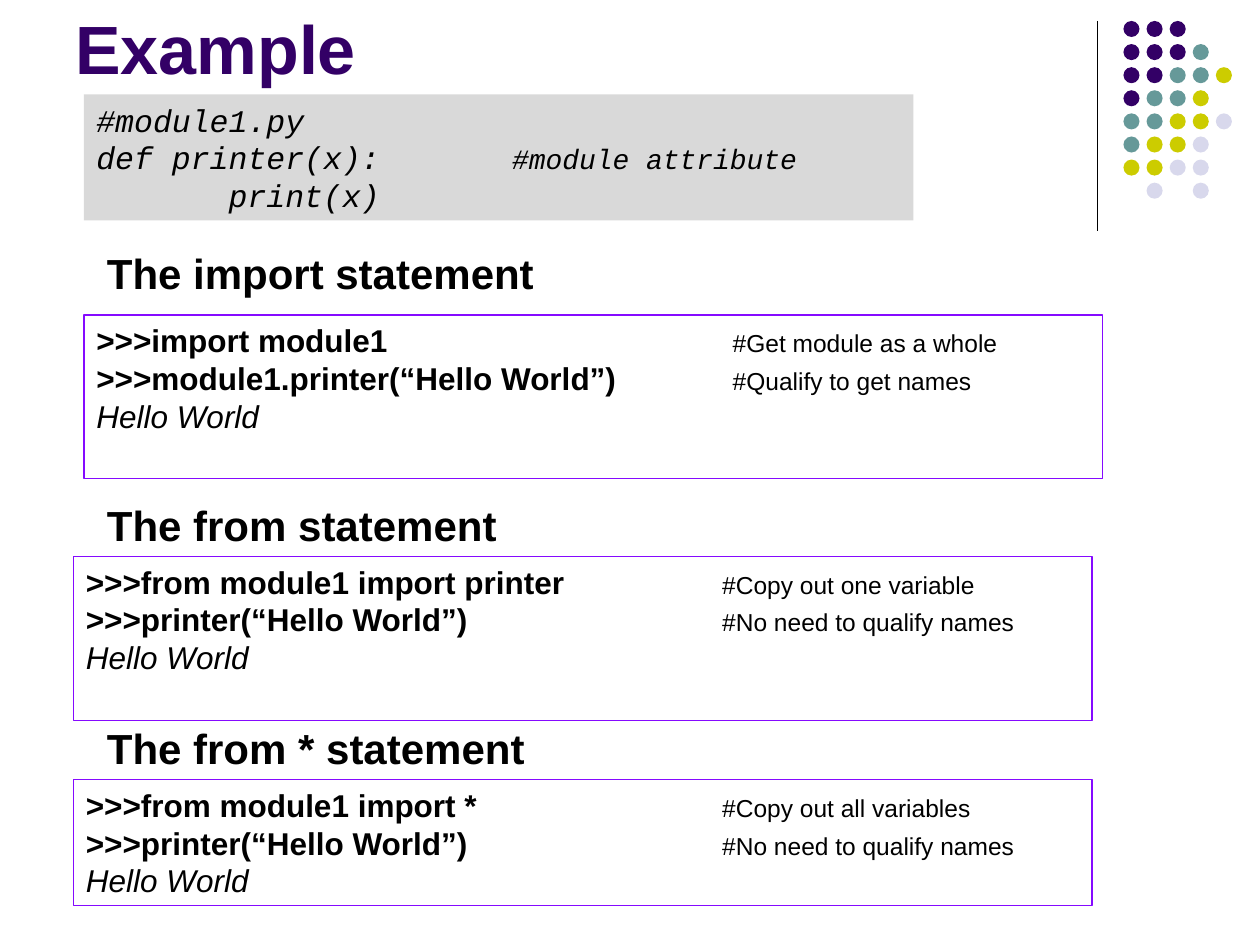
from dataclasses import dataclass
from lxml import etree
from pptx import Presentation
from pptx import util as u
from pptx.dml.color import RGBColor
from pptx.enum import shapes, text
from pptx.oxml.ns import qn


@dataclass(frozen=True)
class Theme:
    sans: str = "Arial"
    mono: str = "Courier New"
    title: int = 39
    heading: int = 24
    code: int = 18
    note: int = 14
    mono_note: int = 16
    leading: float = 1.2
    ink: str = "000000"
    purple: str = "330066"
    teal: str = "669999"
    lime: str = "CCCC00"
    mist: str = "D8D8EC"
    panel: str = "D9D9D9"
    border: str = "850AFF"


T = Theme()
COLS, ROWS = 120, 90
DOT_COLORS = {"P": T.purple, "T": T.teal, "L": T.lime, "M": T.mist}
DOT_ROWS = ["PPP", "PPPT", "PPTTL", "PTTL", "TTLLM", "TLLM", "LLMM", ".M.M"]

prs = Presentation()
prs.slide_width, prs.slide_height = u.Inches(10), u.Inches(7.5)
slide = prs.slides.add_slide(prs.slide_layouts[6])


def grid(*lengths):
    units = (prs.slide_width / COLS, prs.slide_height / ROWS)
    return [round(n * units[i % 2]) for i, n in enumerate(lengths)]


def rgb(color):
    return RGBColor.from_string(color)


def add_rect(box, fill=None, line=None):
    sp = slide.shapes.add_shape(shapes.MSO_SHAPE.RECTANGLE, *grid(*box))
    sp.shadow.inherit = False
    if fill:
        sp.fill.solid()
        sp.fill.fore_color.rgb = rgb(fill)
    else:
        sp.fill.background()
    if line:
        sp.line.color.rgb = rgb(line)
        sp.line.width = u.Pt(0.75)
    else:
        sp.line.fill.background()
    sp.text_frame.vertical_anchor = text.MSO_ANCHOR.TOP
    return sp


def add_label(box, words, size, color, anchor=text.MSO_ANCHOR.TOP):
    tf = slide.shapes.add_textbox(*grid(*box)).text_frame
    tf.word_wrap = True
    tf.vertical_anchor = anchor
    p = tf.paragraphs[0]
    p.text = words
    style(p, T.sans, size, color, bold=True)
    return p


def style(p, font, size, color, bold=False, italic=False):
    p.font.name, p.font.size = font, u.Pt(size)
    p.font.bold, p.font.italic = bold, italic
    p.font.color.rgb = rgb(color)


def add_lines(sp, lines, font, note_size, tab, bold, italic):
    tf = sp.text_frame
    tf.word_wrap = True
    for i, (code, note) in enumerate(lines):
        p = tf.paragraphs[0] if i == 0 else tf.add_paragraph()
        p.alignment = text.PP_ALIGN.LEFT
        p.line_spacing = u.Pt(T.code * T.leading)
        if note:
            tabs = etree.SubElement(p._p.get_or_add_pPr(), qn("a:tabLst"))
            etree.SubElement(tabs, qn("a:tab"), pos=str(u.Inches(tab)), algn="l")
        output = not code.startswith(">>>")
        style(p, font, T.code, T.ink, bold and not output, italic or output)
        p.add_run().text = code + ("\t" if note else "")
        if note:
            r = p.add_run()
            r.text = note
            r.font.size, r.font.bold = u.Pt(note_size), False


def dot_pattern(x, y, pitch, size):
    rule = slide.shapes.add_connector(
        shapes.MSO_CONNECTOR.STRAIGHT, *grid(x - 2.5, y, x - 2.5, y + 20))
    rule.line.color.rgb = rgb(T.ink)
    rule.line.width = u.Pt(0.75)
    etree.SubElement(rule._element.spPr, qn("a:effectLst"))
    for row, keys in enumerate(DOT_ROWS):
        for col, key in enumerate(keys):
            if key in DOT_COLORS:
                place = grid(x + col * pitch, y + row * pitch, size, size)
                sp = slide.shapes.add_shape(shapes.MSO_SHAPE.OVAL, *place)
                sp.shadow.inherit = False
                sp.fill.solid()
                sp.fill.fore_color.rgb = rgb(DOT_COLORS[key])
                sp.line.fill.background()


def module_panel(box, lines):
    sp = add_rect(box, fill=T.panel)
    add_lines(sp, lines, T.mono, T.mono_note, 3.3, bold=False, italic=True)


def statement(x, y, height, heading, heading_y, lines):
    sp = add_rect((x, y, 97, height), line=T.border)
    add_lines(sp, lines, T.sans, T.note, 5.05, bold=True, italic=False)
    p = add_label((9, heading_y, 57, 6), heading, T.heading, T.ink)
    p.line_spacing = u.Pt(T.heading * T.leading)


def main():
    dot_pattern(107, 2, 2.2, 1.53)
    add_label((6, 1.5, 99, 7.5), "Example", T.title, T.purple, text.MSO_ANCHOR.BOTTOM)
    module_panel((8, 9, 79, 12), [
        ("#module1.py", ""),
        ("def printer(x):", "#module attribute"),
        ("       print(x)", "")])
    output = ("Hello World", "")
    call = (">>>printer(“Hello World”)", "#No need to qualify names")
    statement(8, 30, 15.6, "The import statement", 23, [
        (">>>import module1", "#Get module as a whole"),
        (">>>module1.printer(“Hello World”)", "#Qualify to get names"),
        output])
    statement(7, 53, 15.6, "The from statement", 47, [
        (">>>from module1 import printer", "#Copy out one variable"), call, output])
    statement(7, 74.25, 12, "The from * statement", 68.25, [
        (">>>from module1 import *", "#Copy out all variables"), call, output])
    prs.save("out.pptx")


if __name__ == "__main__":
    main()
